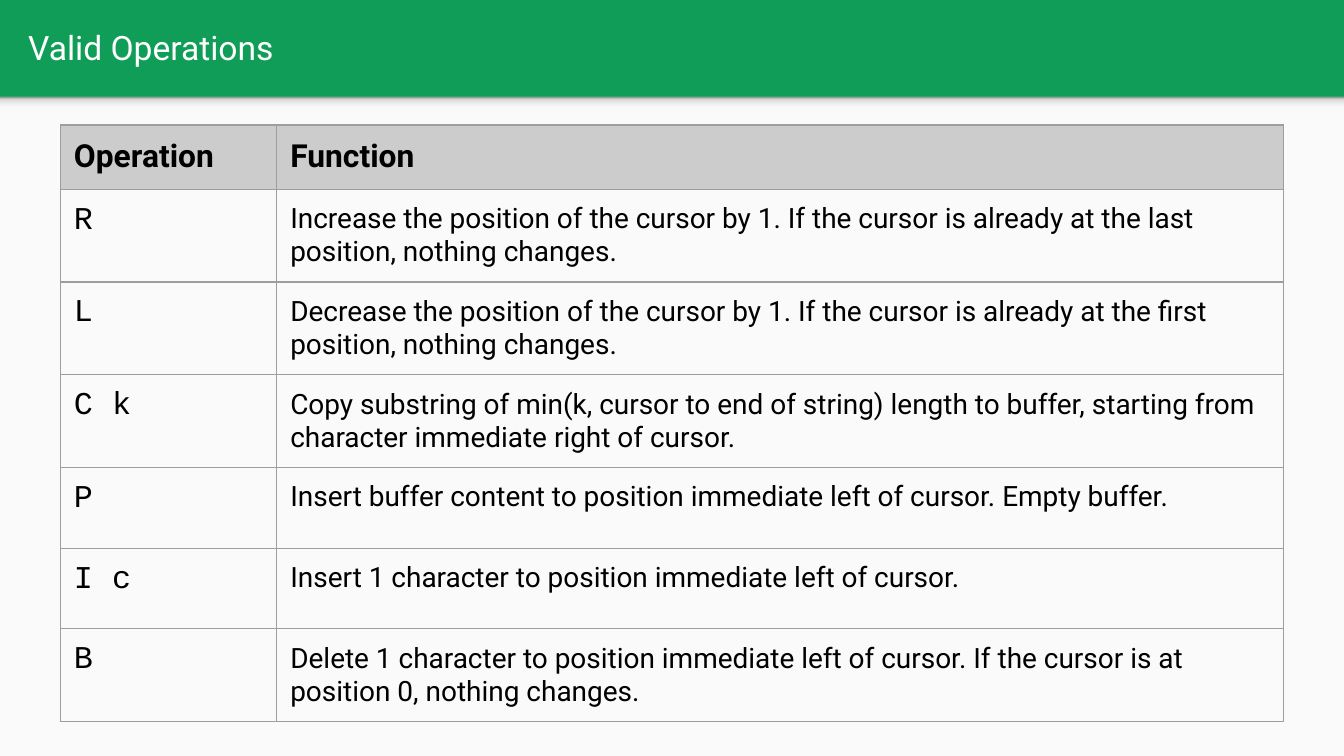
from lxml import etree
from pptx import Presentation
from pptx.dml.color import RGBColor
from pptx.enum.shapes import MSO_SHAPE
from pptx.enum.text import MSO_ANCHOR, MSO_AUTO_SIZE, PP_ALIGN
from pptx.oxml.ns import qn
from pptx.util import Inches, Pt

RECT = MSO_SHAPE.RECTANGLE
MIDDLE, TOP = MSO_ANCHOR.MIDDLE, MSO_ANCHOR.TOP
NO_FIT = MSO_AUTO_SIZE.NONE
LEFT = PP_ALIGN.LEFT

# Content
TITLE = "Valid Operations"
HEADER = ("Operation", "Function")
OPERATIONS = [
    ("R", "Increase the position of the cursor by 1. If the cursor is already "
          "at the last position, nothing changes."),
    ("L", "Decrease the position of the cursor by 1. If the cursor is already "
          "at the first position, nothing changes."),
    ("C k", "Copy substring of min(k, cursor to end of string) length to buffer, "
            "starting from character immediate right of cursor."),
    ("P", "Insert buffer content to position immediate left of cursor. Empty buffer."),
    ("I c", "Insert 1 character to position immediate left of cursor."),
    ("B", "Delete 1 character to position immediate left of cursor. If the cursor "
          "is at position 0, nothing changes."),
]

# Formats
GREEN, PAPER, GREY, BORDER = "0F9D58", "FAFAFA", "CCCCCC", "9E9E9E"
SHADOW_STOPS = [(0, "F9F9F9"), (36, "F9F9F9"), (80, "DEDEDE"), (100, "999999")]
TITLE_FONT = {"name": "Roboto", "size": Pt(18), "bold": False}
HEADER_FONT = {"name": "Roboto", "size": Pt(17), "bold": True}
BODY_FONTS = (
    {"name": "Courier New", "size": Pt(17), "bold": False},
    {"name": "Roboto", "size": Pt(15), "bold": False},
)
MARGINS = {f"margin_{side}": Inches(0.1) for side in ("left", "top", "right", "bottom")}

# Geometry in inches, on a 16:9 slide
WIDTH = 10
HEIGHT = WIDTH * 9 / 16
BAR_H = 0.72
TABLE_X, TABLE_Y = 0.45, 0.93
COL_W = (1.61, 7.49)
HEADER_H, ROW_H = 0.44, 0.6


def rgb(value):
    return RGBColor.from_string(value)


def set_attrs(target, values):
    for name, value in values.items():
        setattr(target, name, value)


def write(tf, text, font, color):
    p = tf.paragraphs[0]
    p.alignment = LEFT
    r = p.add_run()
    r.text = text
    set_attrs(r.font, font)
    r.font.color.rgb = rgb(color)


def add_rect(slide, y, h):
    sp = slide.shapes.add_shape(RECT, 0, Inches(y), Inches(WIDTH), Inches(h))
    sp.shadow.inherit = False
    sp.line.fill.background()
    return sp


def add_color(parent, color):
    etree.SubElement(parent, qn("a:srgbClr"), val=color)


def set_borders(cell):
    tcPr = cell._tc.get_or_add_tcPr()
    for i, side in enumerate(("lnL", "lnR", "lnT", "lnB")):
        ln = etree.Element(qn(f"a:{side}"), w=str(Pt(0.75)))
        add_color(etree.SubElement(ln, qn("a:solidFill")), BORDER)
        tcPr.insert(i, ln)


prs = Presentation()
prs.slide_width, prs.slide_height = Inches(WIDTH), Inches(HEIGHT)
slide = prs.slides.add_slide(prs.slide_layouts[5])
slide.background.fill.solid()
slide.background.fill.fore_color.rgb = rgb(GREEN)

# Paper area with a soft shadow under the green bar
paper = add_rect(slide, BAR_H, HEIGHT - BAR_H)
paper.fill.solid()
paper.fill.fore_color.rgb = rgb(PAPER)

shadow = add_rect(slide, BAR_H, 0.12)
shadow.fill.gradient()
shadow.fill.gradient_angle = 90
stops = shadow._element.spPr.find(qn("a:gradFill")).find(qn("a:gsLst"))
for old in list(stops):
    stops.remove(old)
for percent, color in SHADOW_STOPS:
    add_color(etree.SubElement(stops, qn("a:gs"), pos=str(percent * 1000)), color)

# Title
title = slide.shapes.title
set_attrs(title, {"left": Inches(0.11), "top": Inches(0.02),
                  "width": Inches(9.65), "height": Inches(0.66)})
tf = title.text_frame
set_attrs(tf, {**MARGINS, "vertical_anchor": MIDDLE, "word_wrap": True,
               "auto_size": NO_FIT})
write(tf, TITLE, TITLE_FONT, "FFFFFF")

# Table of operations
rows = [HEADER, *OPERATIONS]
heights = [HEADER_H] + [ROW_H] * len(OPERATIONS)
table = slide.shapes.add_table(
    len(rows), len(COL_W), Inches(TABLE_X), Inches(TABLE_Y),
    Inches(sum(COL_W)), Inches(sum(heights))).table
table.horz_banding = False
for col, w in zip(table.columns, COL_W):
    col.width = Inches(w)
for i, (texts, h) in enumerate(zip(rows, heights)):
    table.rows[i].height = Inches(h)
    for j, text in enumerate(texts):
        cell = table.cell(i, j)
        set_attrs(cell, {**MARGINS, "vertical_anchor": TOP})
        if i == 0:
            cell.fill.solid()
            cell.fill.fore_color.rgb = rgb(GREY)
        else:
            cell.fill.background()
        write(cell.text_frame, text, BODY_FONTS[j] if i else HEADER_FONT, "000000")
        set_borders(cell)

prs.save("out.pptx")
